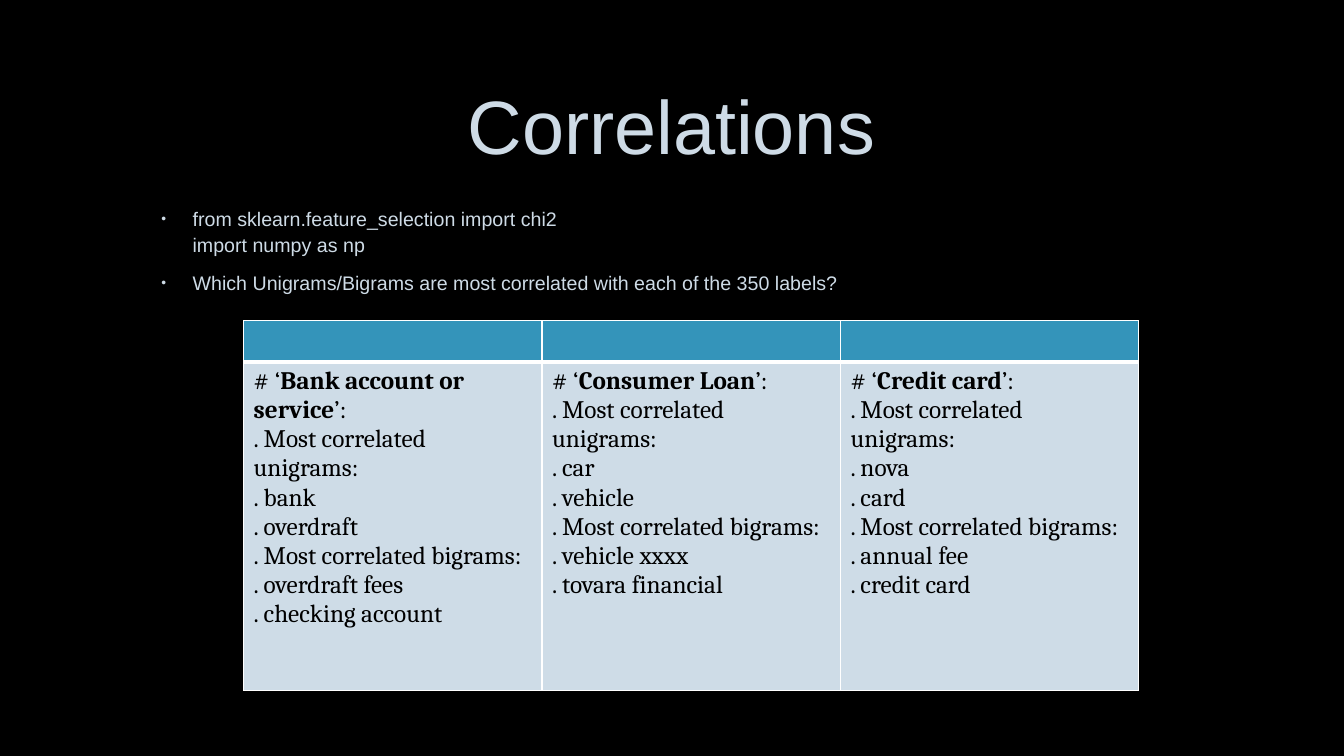
from lxml import etree
from pptx import Presentation
from pptx.dml.color import RGBColor
from pptx.enum.text import MSO_ANCHOR, MSO_AUTO_SIZE, PP_ALIGN
from pptx.oxml.ns import qn
from pptx.util import Cm, Pt

TITLE = "Correlations"
POINTS = [
    "from sklearn.feature_selection import chi2\vimport numpy as np",
    "Which Unigrams/Bigrams are most correlated with each of the 350 labels?",
]
LABELS = [
    ("Bank account or service", ["bank", "overdraft"],
     ["overdraft fees", "checking account"]),
    ("Consumer Loan", ["car", "vehicle"],
     ["vehicle xxxx", "tovara financial"]),
    ("Credit card", ["nova", "card"],
     ["annual fee", "credit card"]),
]

BLACK = RGBColor(0, 0, 0)
WHITE = RGBColor(0xFF, 0xFF, 0xFF)
PALE = RGBColor(0xCE, 0xDB, 0xE6)
TEAL = RGBColor(0x34, 0x94, 0xBA)
CELL = RGBColor(0xCE, 0xDC, 0xE7)
CENTER, LEFT = PP_ALIGN.CENTER, PP_ALIGN.LEFT
BOTTOM, TOP = MSO_ANCHOR.BOTTOM, MSO_ANCHOR.TOP
NO_FIT = MSO_AUTO_SIZE.NONE

LEFT_X, WIDE = Cm(3.81), Cm(26.21)
INDENT = Cm(0.79)
COL_W = Cm(7.52)
ROWS = [Cm(1.04), Cm(8.28)]


def style(run, size, name, color, bold=False):
    font = run.font
    font.size, font.name, font.bold = Pt(size), name, bold
    font.color.rgb = color


def place(shape, top, high, anchor):
    shape.left, shape.top, shape.width, shape.height = LEFT_X, top, WIDE, high
    frame = shape.text_frame
    frame.word_wrap, frame.auto_size = True, NO_FIT
    frame.vertical_anchor = anchor
    return frame


def add_bullet(para):
    props = para._p.get_or_add_pPr()
    props.set("marL", str(INDENT))
    props.set("indent", str(-INDENT))
    tint = etree.SubElement(props, qn("a:buClr"))
    etree.SubElement(tint, qn("a:srgbClr"), val=str(PALE))
    etree.SubElement(props, qn("a:buSzPct"), val="70000")
    etree.SubElement(props, qn("a:buFont"), typeface="Arial")
    etree.SubElement(props, qn("a:buChar"), char="•")


def paint(cell, color, top, bottom):
    props = cell._tc.get_or_add_tcPr()
    for side, width in (("L", 1), ("R", 1), ("T", top), ("B", bottom)):
        line = etree.SubElement(props, qn("a:ln" + side), w=str(Pt(width)))
        fill = etree.SubElement(line, qn("a:solidFill"))
        etree.SubElement(fill, qn("a:srgbClr"), val=str(WHITE))
    cell.fill.solid()
    cell.fill.fore_color.rgb = color


def add_text(para, text, bold=False):
    run = para.add_run()
    run.text = text
    style(run, 18, "Cambria", BLACK, bold)


def fill_label(cell, label, words, pairs):
    para = cell.text_frame.paragraphs[0]
    add_text(para, "# ‘")
    add_text(para, label, True)
    add_text(para, "’:")
    lines = ["Most correlated unigrams:", *words,
             "Most correlated bigrams:", *pairs]
    for line in lines:
        para.add_line_break()
        add_text(para, ". " + line)


def main():
    deck = Presentation()
    deck.slide_width, deck.slide_height = Cm(33.87), Cm(19.05)
    slide = deck.slides.add_slide(deck.slide_layouts[0])
    back = slide.background.fill
    back.solid()
    back.fore_color.rgb = BLACK

    frame = place(slide.shapes.title, Cm(1.3), Cm(3.12), BOTTOM)
    frame.text = TITLE
    para = frame.paragraphs[0]
    para.alignment, para.line_spacing = CENTER, 0.9
    style(para.runs[0], 54, "Arial", PALE)

    frame = place(slide.placeholders[1], Cm(5.03), Cm(8.38), TOP)
    frame.text = "\n".join(POINTS)
    for para in frame.paragraphs:
        para.alignment, para.line_spacing = LEFT, 1.1
        para.space_before, para.space_after = Pt(2.8), Pt(6)
        add_bullet(para)
        for run in para.runs:
            style(run, 14, "Arial", PALE)

    count = len(LABELS)
    table = slide.shapes.add_table(
        2, count, Cm(6.14), Cm(8.08), COL_W * count, sum(ROWS)).table
    for row, high in zip(table.rows, ROWS):
        row.height = high
    for col, item in enumerate(LABELS):
        table.columns[col].width = COL_W
        paint(table.cell(0, col), TEAL, 1, 3)
        paint(table.cell(1, col), CELL, 3, 1)
        fill_label(table.cell(1, col), *item)

    deck.save("out.pptx")


if __name__ == "__main__":
    main()
